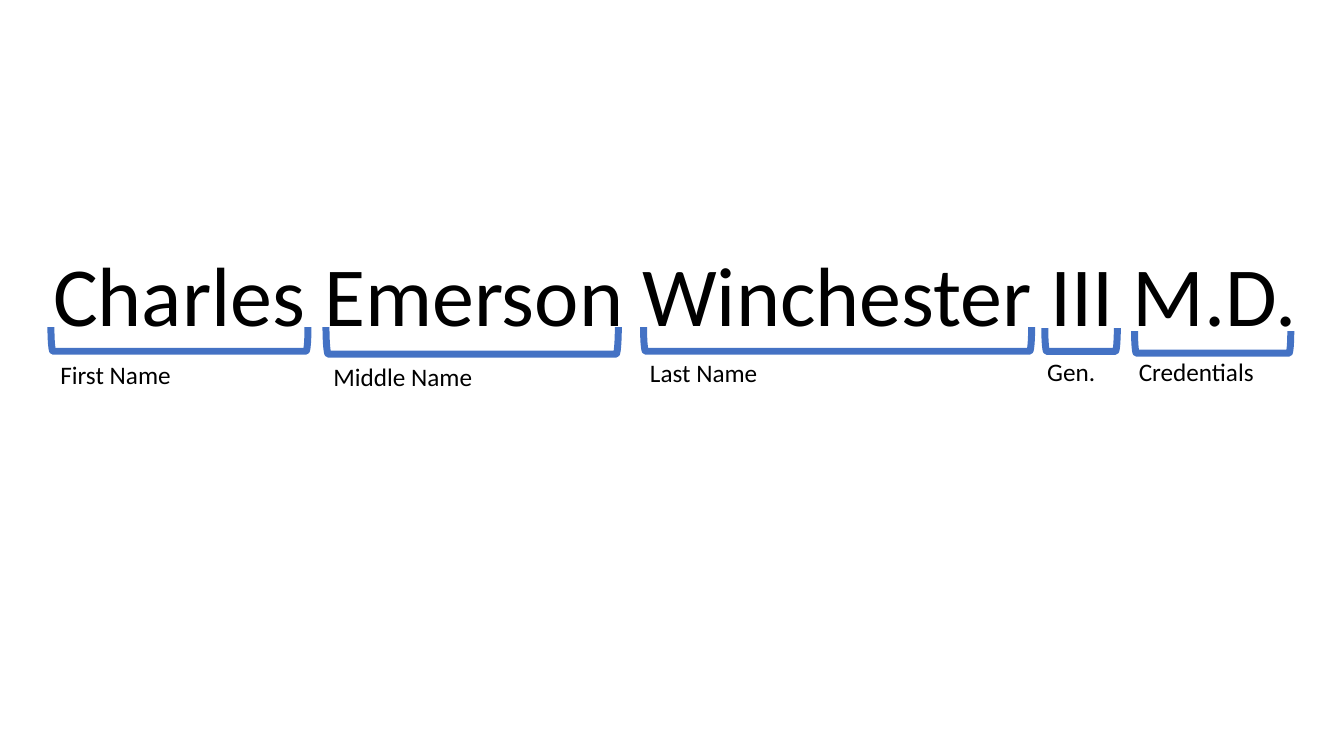
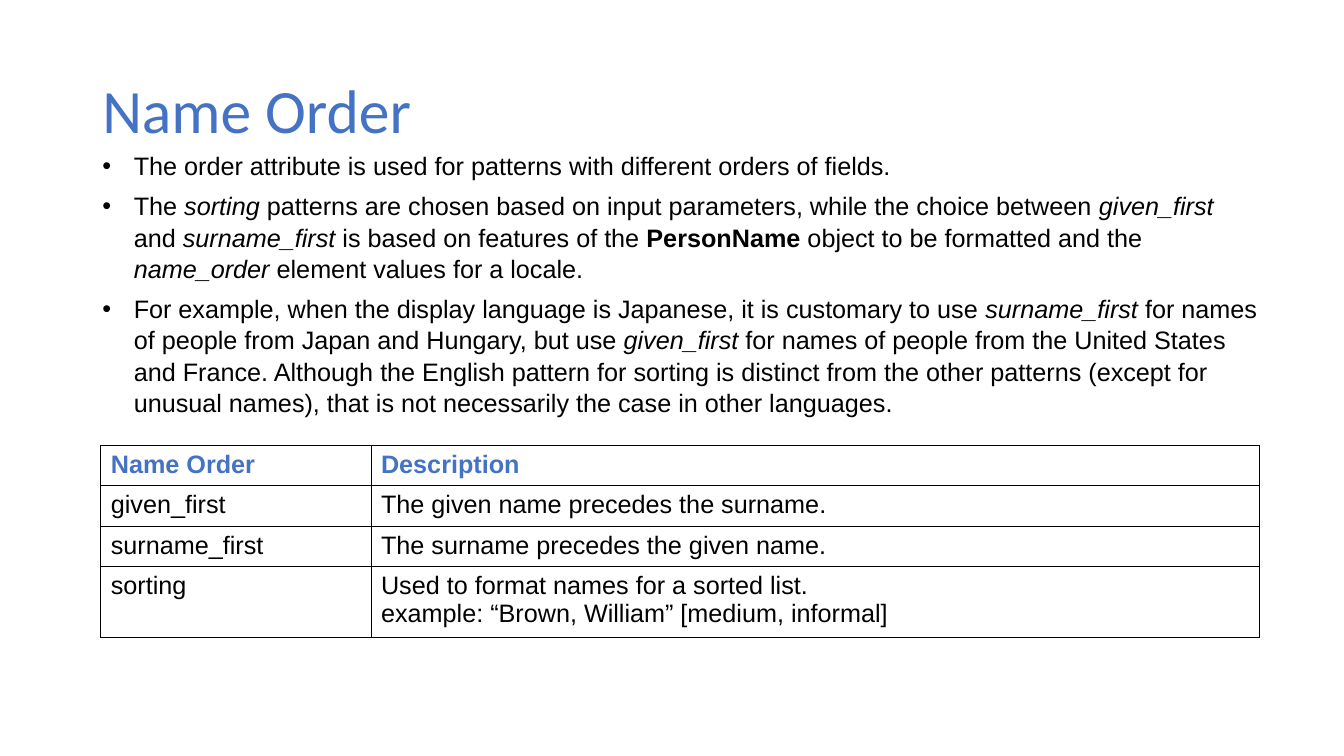
from dataclasses import dataclass

from lxml import etree
from pptx import Presentation
from pptx import util as u
from pptx.dml.color import RGBColor
from pptx.enum import shapes, text
from pptx.oxml import ns


@dataclass(frozen=True)
class Theme:
    ink: RGBColor = RGBColor(0x00, 0x00, 0x00)
    accent: RGBColor = RGBColor(0x44, 0x72, 0xC4)
    heading_font: str = "Calibri"
    body_font: str = "Arial"
    display_size: int = 60
    title_size: int = 44
    body_size: int = 18
    bracket_line: float = 5
    border_line: float = 0.75


def add_element(parent, tag, **attributes):
    return etree.SubElement(parent, ns.qn(tag), attributes)


class Deck:
    def __init__(self, theme):
        self.theme = theme
        self.presentation = Presentation()
        self.presentation.slide_width = u.Pt(960)
        self.presentation.slide_height = u.Pt(540)
        self.slide = None

    def new_slide(self):
        self.slide = self.presentation.slides.add_slide(
            self.presentation.slide_layouts[6])

    def add_run(self, paragraph, content, size, font, color, style=""):
        """Style holds "b" for bold and "i" for italic."""
        run = paragraph.add_run()
        run.text = content
        run.font.size = u.Pt(size)
        run.font.name = font
        run.font.color.rgb = color
        run.font.bold = "b" in style
        run.font.italic = "i" in style

    def text_frame(self, left, top, width, height, wrap=True,
                   anchor=text.MSO_ANCHOR.TOP):
        box = self.slide.shapes.add_textbox(
            u.Pt(left), u.Pt(top), u.Pt(width), u.Pt(height))
        frame = box.text_frame
        frame.word_wrap = wrap
        frame.vertical_anchor = anchor
        return frame

    def display_text(self, content, left, top, width, height):
        paragraph = self.text_frame(left, top, width, height).paragraphs[0]
        paragraph.alignment = text.PP_ALIGN.CENTER
        paragraph.line_spacing = 0.9
        self.add_run(paragraph, content, self.theme.display_size,
                     self.theme.heading_font, self.theme.ink)

    def title(self, content):
        frame = self.text_frame(66, 28.75, 828, 104.4,
                                anchor=text.MSO_ANCHOR.MIDDLE)
        paragraph = frame.paragraphs[0]
        paragraph.line_spacing = 0.9
        self.add_run(paragraph, content, self.theme.title_size,
                     self.theme.heading_font, self.theme.accent)

    def label(self, content, left, top, width):
        frame = self.text_frame(left, top, width, 29, wrap=False)
        self.add_run(frame.paragraphs[0], content, self.theme.body_size,
                     self.theme.heading_font, self.theme.ink)

    def under_bracket(self, left, top, width, height):
        """Draw a bracket opening upwards; lengths are as seen after turning."""
        middle_x, middle_y = left + width / 2, top + height / 2
        shape = self.slide.shapes.add_shape(
            shapes.MSO_SHAPE.LEFT_BRACKET,
            u.Pt(middle_x - height / 2), u.Pt(middle_y - width / 2),
            u.Pt(height), u.Pt(width))
        shape.rotation = 270
        shape.shadow.inherit = False
        shape.fill.background()
        shape.line.color.rgb = self.theme.accent
        shape.line.width = u.Pt(self.theme.bracket_line)

    def bullets(self, items, left, top, width, height):
        frame = self.text_frame(left, top, width, height,
                                anchor=text.MSO_ANCHOR.MIDDLE)
        indent = u.Pt(22.5)
        for index, runs in enumerate(items):
            paragraph = frame.add_paragraph() if index else frame.paragraphs[0]
            paragraph.line_spacing = 1.04
            if index:
                paragraph.space_before = u.Pt(6)
            properties = paragraph._p.get_or_add_pPr()
            properties.set("marL", str(indent))
            properties.set("indent", str(-indent))
            add_element(properties, "a:buFont", typeface=self.theme.body_font)
            add_element(properties, "a:buChar", char="•")
            for content, style in runs:
                self.add_run(paragraph, content, self.theme.body_size,
                             self.theme.body_font, self.theme.ink, style)

    def border(self, cell):
        properties = cell._tc.get_or_add_tcPr()
        for side in ("a:lnL", "a:lnR", "a:lnT", "a:lnB"):
            line = add_element(properties, side,
                               w=str(u.Pt(self.theme.border_line)))
            fill = add_element(line, "a:solidFill")
            add_element(fill, "a:srgbClr", val=str(self.theme.ink))

    def table(self, rows, left, top, column_widths, row_height):
        """Rows are lists of cell texts; the first row is the header."""
        table = self.slide.shapes.add_table(
            len(rows), len(column_widths), u.Pt(left), u.Pt(top),
            u.Pt(sum(column_widths)), u.Pt(row_height * len(rows))).table
        table.first_row = False
        table.horz_banding = False
        for column, width in zip(table.columns, column_widths):
            column.width = u.Pt(width)
        for row_index, row in enumerate(rows):
            color, style = ((self.theme.ink, "") if row_index
                            else (self.theme.accent, "b"))
            for column_index, content in enumerate(row):
                cell = table.cell(row_index, column_index)
                self.border(cell)
                cell.fill.background()
                paragraph = cell.text_frame.paragraphs[0]
                for line_index, line in enumerate(content.split("\n")):
                    if line_index:
                        paragraph.add_line_break()
                    self.add_run(paragraph, line, self.theme.body_size,
                                 self.theme.body_font, color, style)


# label, (left, top, width), bracket (left, top, width, height)
NAME_PARTS = [
    ("First Name", (36, 253.4, 94.3), (36.4, 233.6, 183.6, 17.3)),
    ("Middle Name", (231.1, 254.2, 115.2), (232.9, 233.6, 208.8, 19.4)),
    ("Last Name", (457.2, 252, 92.2), (459.7, 233.6, 277.2, 17.3)),
    ("Gen.", (740.9, 251.3, 49), (746.3, 234.4, 51.8, 16.6)),
    ("Credentials", (806.4, 251.3, 97.9), (810.4, 236.5, 111.6, 15.8)),
]

ORDER_NOTES = [
    [("The order attribute is used for patterns with different orders "
      "of fields.", "")],
    [("The ", ""), ("sorting", "i"),
     (" patterns are chosen based on input parameters, while the choice "
      "between ", ""),
     ("given_first ", "i"), ("and ", ""), ("surname_first ", "i"),
     ("is based on features of the ", ""), ("PersonName", "b"),
     (" object to be formatted and the ", ""), ("name_order ", "i"),
     ("element values for a locale.", "")],
    [("For example, when the display language is Japanese, it is customary "
      "to use ", ""),
     ("surname_first", "i"),
     (" for names of people from Japan and Hungary, but use ", ""),
     ("given_first ", "i"),
     ("for names of people from the United States and France. Although the "
      "English pattern for sorting is distinct from the other patterns "
      "(except for unusual names), that is not necessarily the case in "
      "other languages.", "")],
]

ORDER_ROWS = [
    ["Name Order", "Description"],
    ["given_first", "The given name precedes the surname."],
    ["surname_first", "The surname precedes the given name."],
    ["sorting", "Used to format names for a sorted list.\n"
                "example: “Brown, William” [medium, informal]"],
]


def name_parts_slide(deck):
    deck.new_slide()
    deck.display_text("Charles Emerson Winchester III M.D.",
                      24.5, 177.8, 915.8, 59)
    for name, label_place, bracket_place in NAME_PARTS:
        deck.under_bracket(*bracket_place)
        deck.label(name, *label_place)


def name_order_slide(deck):
    deck.new_slide()
    deck.title("Name Order")
    deck.table(ORDER_ROWS, 72, 318.2, [193, 635], 27.36)
    deck.bullets(ORDER_NOTES, 66, 105.8, 840.2, 193.7)


def main():
    deck = Deck(Theme())
    name_parts_slide(deck)
    name_order_slide(deck)
    deck.presentation.save("out.pptx")


if __name__ == "__main__":
    main()
